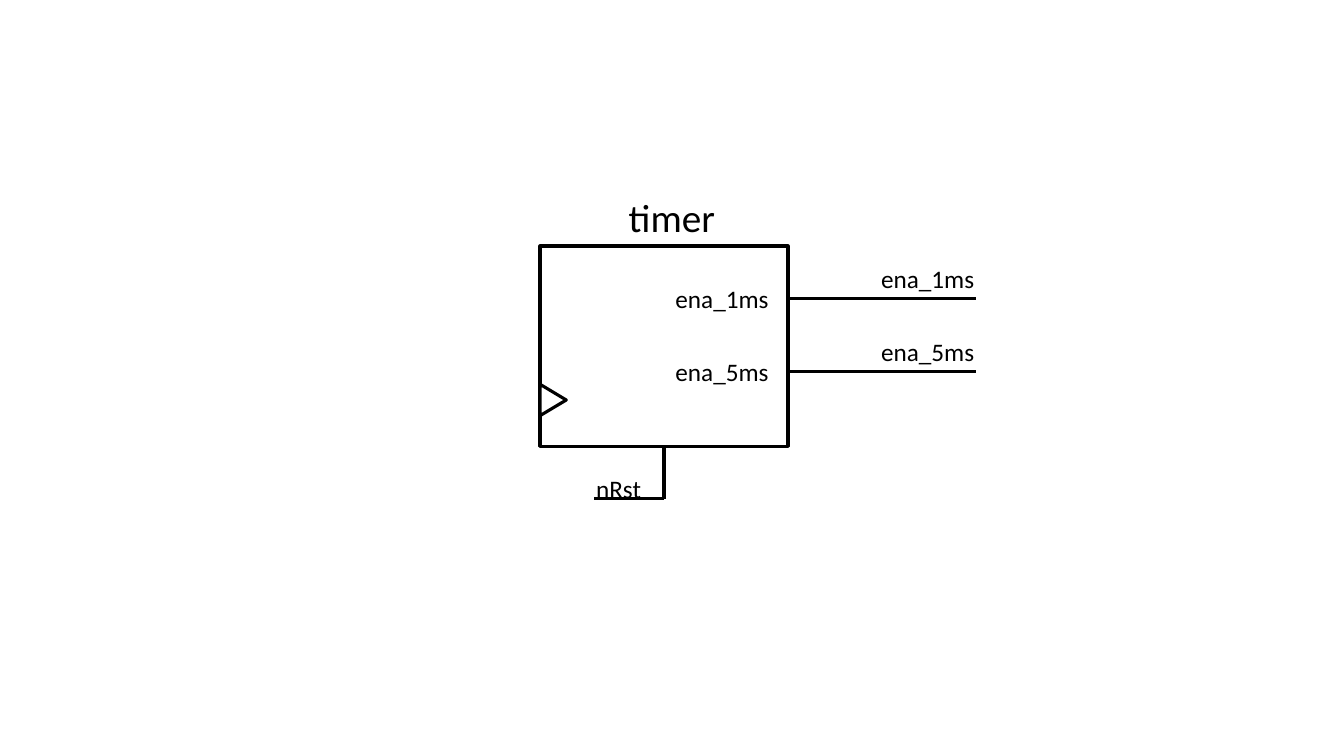
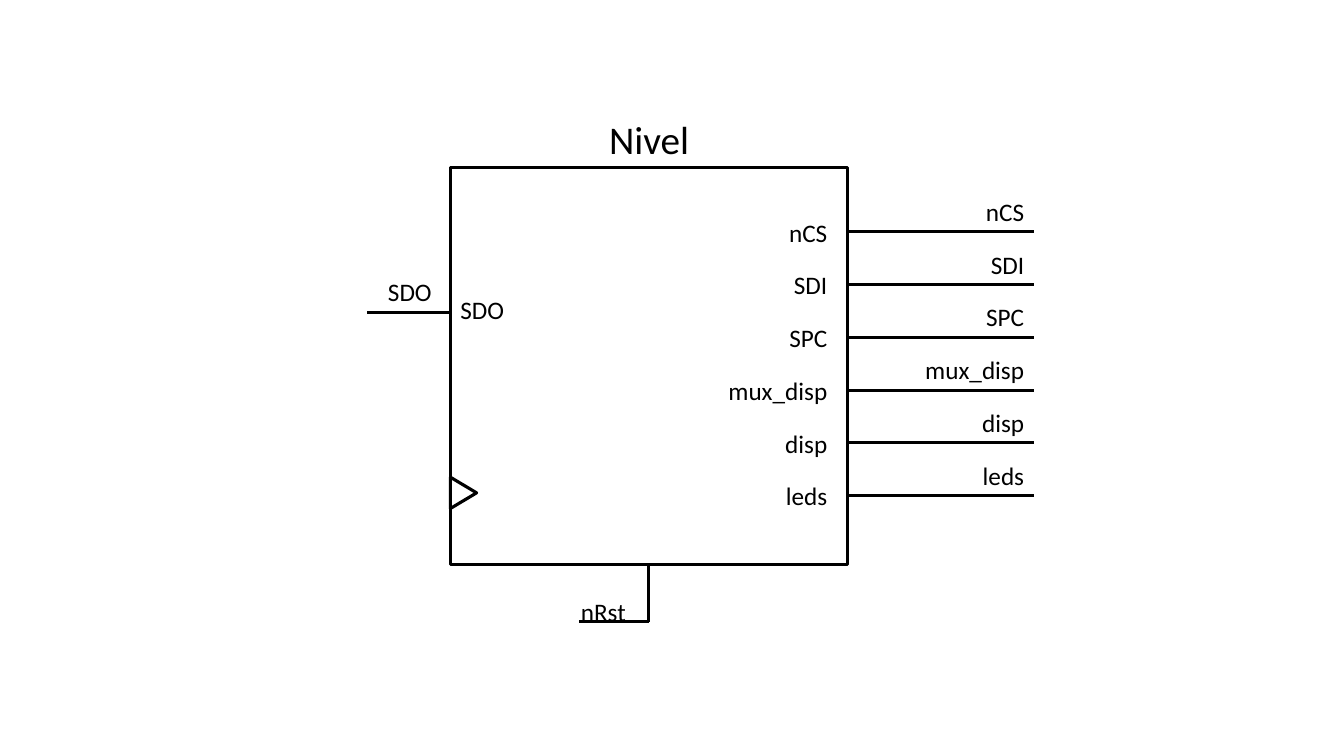
"""Build two block diagrams of digital modules with their ports."""
import pptx
import pptx.util
import pptx.dml.color
import pptx.enum.shapes
import pptx.enum.text
import pptx.oxml.ns
import lxml.etree

Cm = pptx.util.Cm
Align = pptx.enum.text.PP_ALIGN
Shape = pptx.enum.shapes.MSO_SHAPE
INK, PAPER, FONT = "000000", "FFFFFF", "Calibri"
LABEL_WIDTH, LABEL_HEIGHT = 4.67, 1.02
TITLE_WIDTH, TITLE_HEIGHT = 2.7, 1.45
CLOCK_WIDTH, CLOCK_HEIGHT = 0.79, 0.66
WIRE_LABEL_RISE = 1.02


def color(value):
    return pptx.dml.color.RGBColor.from_string(value)


def draw(kind, *numbers, text=None, align=Align.RIGHT):
    places = [Cm(number) for number in numbers]
    if kind == "wire":
        item = page.shapes.add_connector(pptx.enum.shapes.MSO_CONNECTOR.STRAIGHT, *places)
    elif kind == "label":
        item = page.shapes.add_textbox(*places, Cm(LABEL_WIDTH), Cm(LABEL_HEIGHT))
        item.text_frame.word_wrap = True
        item.text_frame.auto_size = pptx.enum.text.MSO_AUTO_SIZE.SHAPE_TO_FIT_TEXT
        para = item.text_frame.paragraphs[0]
        para.text, para.alignment = text, align
        para.font.name, para.font.size = FONT, pptx.util.Pt(18)
        para.font.color.rgb = color(INK)
        return item
    else:
        item = page.shapes.add_shape(kind, *places)
        item.shadow.inherit = False
        item.fill.solid()
        item.fill.fore_color.rgb = color(PAPER)
    item.line.color.rgb = color(INK)
    item.line.width = pptx.util.Pt(2.25)
    if kind == "wire":
        lxml.etree.SubElement(item._element.spPr, pptx.oxml.ns.qn("a:effectLst"))
    return item


modules = [
    dict(name="timer", box=(13.61, 6.2, 6.25, 5.05), title_center=16.93,
         outputs=["ena_1ms", "ena_5ms"], first=7.52, step=1.84,
         port_right=19.62, wire_label_right=24.8, wire_end=24.59,
         inputs=[], clock=10.08, reset_drop=1.32),
    dict(name="Nivel", box=(11.35, 4.22, 10, 10), title_center=16.36,
         outputs=["nCS", "SDI", "SPC", "mux_disp", "disp", "leds"], first=5.84, step=1.33,
         port_right=21.1, wire_label_right=26.06, wire_end=26.06,
         inputs=[("SDO", 7.87)], clock=12.42, reset_drop=1.45),
]

deck = pptx.Presentation()
deck.slide_width, deck.slide_height = Cm(33.87), Cm(19.05)

for module in modules:
    page = deck.slides.add_slide(deck.slide_layouts[5])
    left, top, width, height = module["box"]
    right, bottom, middle = left + width, top + height, left + width / 2
    draw(Shape.RECTANGLE, left, top, width, height)

    title = page.shapes.title
    title.left, title.top = Cm(module["title_center"] - TITLE_WIDTH / 2), Cm(top - TITLE_HEIGHT)
    title.width, title.height = Cm(TITLE_WIDTH), Cm(TITLE_HEIGHT)
    title.text_frame.text = module["name"]
    title.text_frame.word_wrap = False
    title.text_frame.auto_size = pptx.enum.text.MSO_AUTO_SIZE.NONE
    para = title.text_frame.paragraphs[0]
    para.alignment = Align.CENTER
    para.font.name, para.font.size = FONT, pptx.util.Pt(28)
    para.font.color.rgb = color(INK)

    for index, signal in enumerate(module["outputs"]):
        level = module["first"] + index * module["step"]
        draw("wire", right, level, module["wire_end"], level)
        draw("label", module["port_right"] - LABEL_WIDTH, level - 0.5, text=signal)
        draw("label", module["wire_label_right"] - LABEL_WIDTH, level - WIRE_LABEL_RISE, text=signal)

    for signal, level in module["inputs"]:
        draw("wire", left - 2.1, level, left, level)
        draw("label", left, level - 0.58, text=signal, align=Align.LEFT)
        draw("label", left - 0.22 - LABEL_WIDTH, level - WIRE_LABEL_RISE, text=signal)

    clock = draw(Shape.ISOSCELES_TRIANGLE, left + (CLOCK_HEIGHT - CLOCK_WIDTH) / 2,
                 module["clock"] - CLOCK_HEIGHT / 2, CLOCK_WIDTH, CLOCK_HEIGHT)
    clock.rotation = 90

    reset_level = bottom + module["reset_drop"]
    draw("wire", middle, bottom, middle, reset_level)
    draw("wire", middle, reset_level, middle - 1.77, reset_level)
    draw("label", middle - 0.33 - LABEL_WIDTH, reset_level - 0.78, text="nRst")

deck.save("out.pptx")
